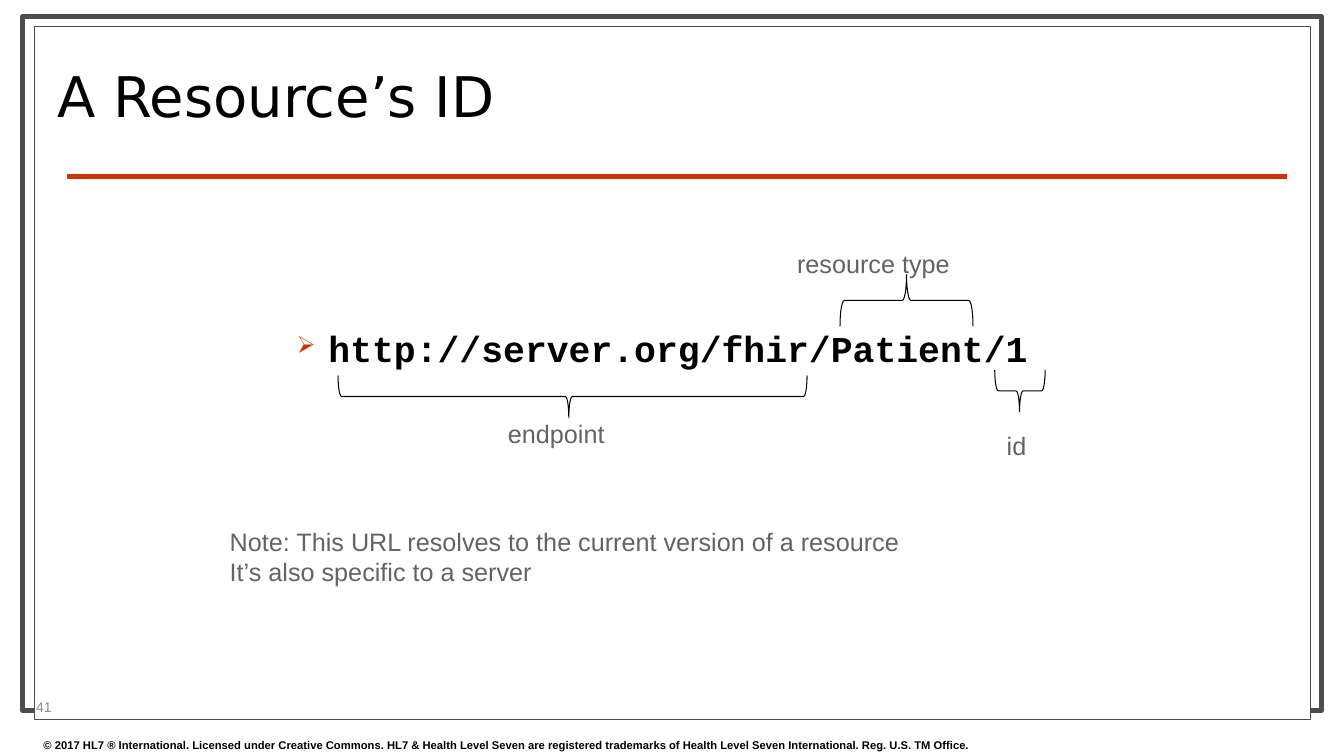
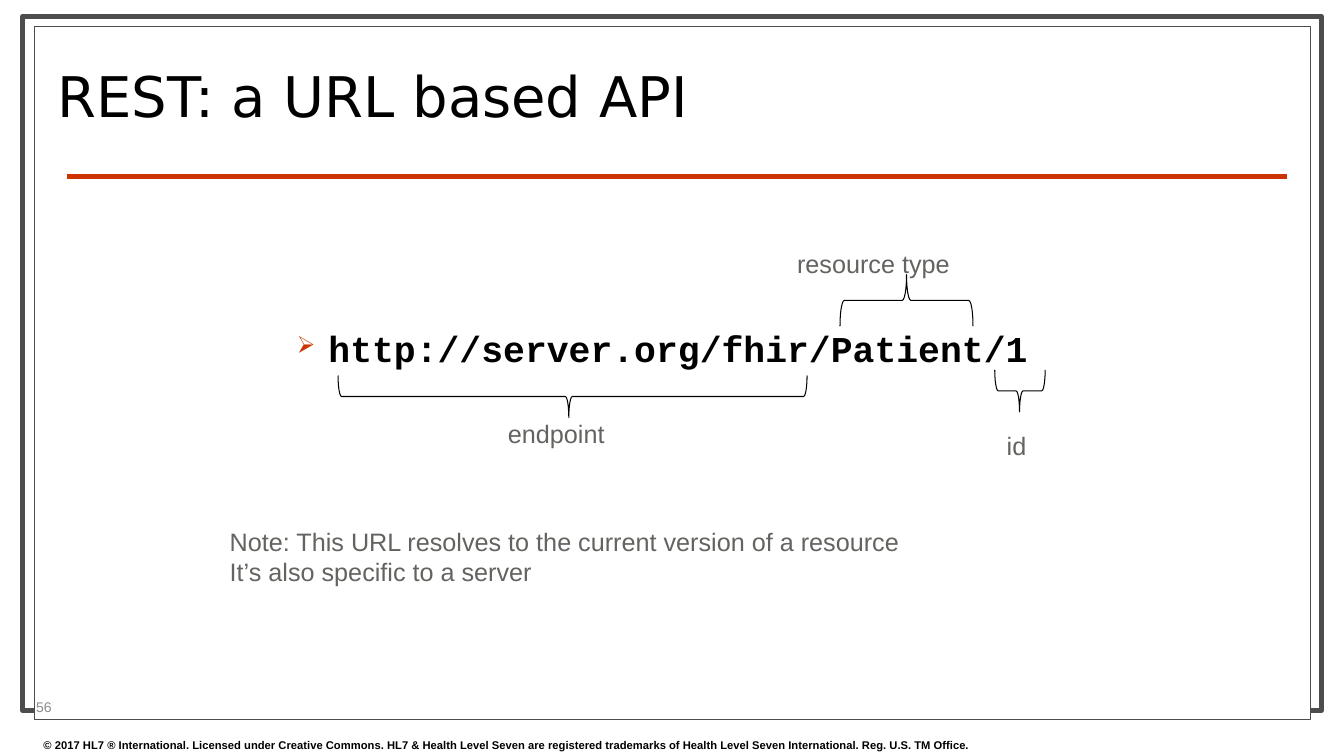
from lxml.etree import SubElement
from pptx import Presentation
from pptx.dml.color import RGBColor
from pptx.enum.shapes import MSO_CONNECTOR, MSO_SHAPE
from pptx.enum.text import MSO_ANCHOR, MSO_AUTO_SIZE, PP_ALIGN
from pptx.oxml.ns import qn
from pptx.util import Pt

BLACK = RGBColor(0x00, 0x00, 0x00)
WHITE = RGBColor(0xFF, 0xFF, 0xFF)
FRAME_GRAY = RGBColor(0x4D, 0x4D, 0x4D)
LABEL_GRAY = RGBColor(0x63, 0x63, 0x60)
NUMBER_GRAY = RGBColor(0x8C, 0x8C, 0x8C)
ACCENT = RGBColor(0xCC, 0x33, 0x00)

COPYRIGHT = (
    "© 2017 HL7 ® International. Licensed under Creative Commons. "
    "HL7 & Health Level Seven are registered trademarks of "
    "Health Level Seven International. Reg. U.S. TM Office."
)
NOTE = (
    "Note: This URL resolves to the current version of a resource\n"
    "It’s also specific to a server"
)
SLIDES = [("A Resource’s ID", "41"), ("REST: a URL based API", "56")]
LABELS = [
    ("endpoint", 355.7, 295.2, 84, 29),
    ("resource type", 562.3, 173.5, 124.5, 29),
    ("id", 712, 303.8, 29, 29),
    (NOTE, 157, 372.2, 497.5, 51),
]
BRACES = [
    (241.5, 268.2, 335, 30, 270, 0.492),
    (600, 196.2, 95, 36.7, 90, 0.5),
    (710.6, 264.2, 36, 30, 270, 0.492),
]


def add_bullet(para, symbol, indent):
    properties = para._p.get_or_add_pPr()
    properties.set("marL", str(Pt(indent)))
    properties.set("indent", str(-Pt(indent)))
    color = SubElement(properties, qn("a:buClr"))
    SubElement(color, qn("a:srgbClr")).set("val", str(ACCENT))
    SubElement(properties, qn("a:buSzPct")).set("val", "65000")
    SubElement(properties, qn("a:buChar")).set("char", symbol)


def write_text(box, text, size=18, font="Arial", color=LABEL_GRAY, bold=False,
               anchor=MSO_ANCHOR.TOP, spacing=None, wrap=True, bullet=None):
    frame = box.text_frame
    frame.text = text
    frame.auto_size = MSO_AUTO_SIZE.NONE
    frame.word_wrap = wrap
    frame.vertical_anchor = anchor
    for para in frame.paragraphs:
        para.alignment = PP_ALIGN.LEFT
        if spacing:
            para.line_spacing = spacing
        if bullet:
            add_bullet(para, bullet, indent=22.5)
        for span in para.runs:
            span.font.size = Pt(size)
            span.font.name = font
            span.font.bold = bold
            span.font.color.rgb = color


def add_text(page, text, left, top, width, height, **style):
    box = page.shapes.add_textbox(Pt(left), Pt(top), Pt(width), Pt(height))
    write_text(box, text, **style)


def add_frame(page, left, top, width, height, weight):
    frame = page.shapes.add_shape(
        MSO_SHAPE.RECTANGLE, Pt(left), Pt(top), Pt(width), Pt(height))
    frame.shadow.inherit = False
    frame.fill.solid()
    frame.fill.fore_color.rgb = WHITE
    frame.line.color.rgb = FRAME_GRAY
    frame.line.width = Pt(weight)


def add_rule(page, left, right, top):
    rule = page.shapes.add_connector(
        MSO_CONNECTOR.STRAIGHT, Pt(left), Pt(top), Pt(right), Pt(top))
    rule.line.color.rgb = ACCENT
    rule.line.width = Pt(3)
    SubElement(rule.element.spPr, qn("a:effectLst"))


def add_brace(page, left, top, span_width, depth, rotation, tip):
    offset = (span_width - depth) / 2
    brace = page.shapes.add_shape(
        MSO_SHAPE.LEFT_BRACE, Pt(left + offset), Pt(top - offset),
        Pt(depth), Pt(span_width))
    brace.rotation = rotation
    brace.adjustments[0] = 0.083
    brace.adjustments[1] = tip
    brace.shadow.inherit = False
    brace.fill.background()
    brace.line.color.rgb = BLACK
    brace.line.width = Pt(0.75)


def set_title(page, text):
    title = page.shapes.title
    title.left, title.top = Pt(34), Pt(26)
    title.width, title.height = Pt(687.5), Pt(93)
    write_text(title, text, size=40, font="DejaVu Sans", color=BLACK,
               anchor=MSO_ANCHOR.MIDDLE, spacing=0.8)
    title.element.getparent().append(title.element)


def add_page(deck, title, number):
    page = deck.slides.add_slide(deck.slide_layouts[5])
    add_frame(page, 16, 12, 928, 495.5, weight=3.5)
    add_frame(page, 24.5, 18.7, 911.5, 495.4, weight=0.75)
    add_rule(page, 48, 919.5, 126)
    add_text(page, COPYRIGHT, 24, 523.5, 930, 16.5, size=8, color=BLACK, bold=True)
    set_title(page, title)
    add_text(page, number, 18.7, 496, 75.6, 17.3, size=10, color=NUMBER_GRAY,
             anchor=MSO_ANCHOR.MIDDLE)
    return page


def add_url_diagram(page):
    add_text(page, "http://server.org/fhir/Patient/1", 205, 229.7, 547, 37,
             size=26, font="Courier New", color=BLACK, bold=True, bullet="➢")
    for brace in BRACES:
        add_brace(page, *brace)
    for label in LABELS:
        add_text(page, *label, wrap=False)


def main():
    deck = Presentation()
    deck.slide_width, deck.slide_height = Pt(960), Pt(540)
    for title, number in SLIDES:
        add_url_diagram(add_page(deck, title, number))
    deck.save("out.pptx")


if __name__ == "__main__":
    main()
